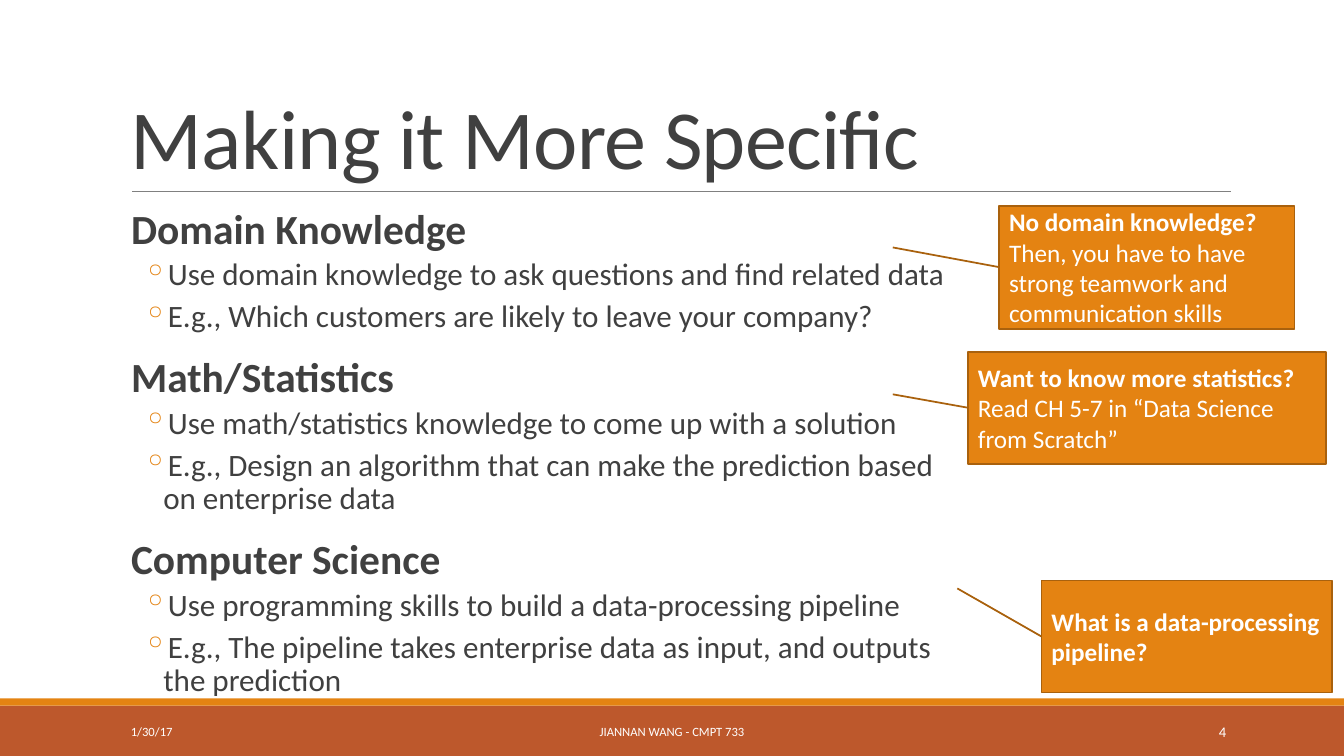
from lxml import etree
from pptx import Presentation
from pptx.dml.color import RGBColor
from pptx.enum.shapes import MSO_CONNECTOR, MSO_SHAPE
from pptx.enum.text import MSO_ANCHOR, PP_ALIGN
from pptx.oxml.ns import qn
from pptx.util import Inches, Pt

RECTANGLE = MSO_SHAPE.RECTANGLE
CALLOUT = MSO_SHAPE.LINE_CALLOUT_1
STRAIGHT = MSO_CONNECTOR.STRAIGHT
LEFT, CENTER, RIGHT = PP_ALIGN.LEFT, PP_ALIGN.CENTER, PP_ALIGN.RIGHT
TOP, MIDDLE, BOTTOM = MSO_ANCHOR.TOP, MSO_ANCHOR.MIDDLE, MSO_ANCHOR.BOTTOM

FONT = "Calibri"
COLORS = {
    "text": "404040",
    "white": "FFFFFF",
    "orange": "E48312",
    "rust": "BD582C",
    "callout line": "A9610D",
    "rule": "808080",
}

SECTIONS = [
    ("Domain Knowledge", [
        "Use domain knowledge to ask questions and find related data",
        "E.g., Which customers are likely to leave your company?",
    ]),
    ("Math/Statistics", [
        "Use math/statistics knowledge to come up with a solution",
        "E.g., Design an algorithm that can make the prediction based on enterprise data",
    ]),
    ("Computer Science", [
        "Use programming skills to build a data-processing pipeline",
        "E.g., The pipeline takes enterprise data as input, and outputs the prediction",
    ]),
]

# Bounds, pointer tip as (y, x) fractions of the box, question, answer
CALLOUTS = [
    ((9.91, 2.04, 2.93, 1.22), (0.34, -0.36), "No domain knowledge?",
     "Then, you have to have strong teamwork and communication skills"),
    ((9.6, 3.49, 3.55, 1.11), (0.38, -0.21), "Want to know more statistics?",
     "Read CH 5-7 in “Data Science from Scratch”"),
    ((10.33, 5.76, 2.88, 1.11), (0.07, -0.29), "What is a data-processing pipeline?", None),
]

FOOTERS = [
    ((1.2, 7.06, 2.7, 0.4), "1/30/17", 9, LEFT),
    ((4.03, 7.06, 5.27, 0.4), "JIANNAN WANG - CMPT 733", 9, CENTER),
    ((10.83, 7.06, 1.43, 0.4), "4", 10.5, RIGHT),
]


def rgb(name):
    return RGBColor.from_string(COLORS[name])


def inches(bounds):
    return [Inches(value) for value in bounds]


def add_box(page, bounds, anchor):
    box = page.shapes.add_textbox(*inches(bounds))
    box.text_frame.word_wrap = True
    box.text_frame.vertical_anchor = anchor
    return box


def write(para, text, size, color, bold=False, align=LEFT):
    para.text = text
    para.alignment = align
    para.font.name = FONT
    para.font.size = Pt(size)
    para.font.bold = bold
    para.font.color.rgb = rgb(color)


def next_para(frame, index):
    return frame.add_paragraph() if index else frame.paragraphs[0]


def space(para, before, after):
    para.line_spacing = 0.9
    para.space_before = Pt(before)
    para.space_after = Pt(after)


def indent(para, left, first):
    properties = para._p.get_or_add_pPr()
    properties.set("marL", str(Inches(left)))
    properties.set("indent", str(Inches(first)))
    return properties


def add_bullet(para):
    properties = indent(para, 0.42, -0.2)
    color = etree.Element(qn("a:buClr"))
    etree.SubElement(color, qn("a:srgbClr")).set("val", COLORS["orange"])
    mark = etree.Element(qn("a:buChar"))
    mark.set("char", "◦")
    # Bullet settings come before the default run properties
    defaults = properties.find(qn("a:defRPr"))
    defaults.addprevious(color)
    defaults.addprevious(mark)


def add_band(page, bounds, color):
    band = page.shapes.add_shape(RECTANGLE, *inches(bounds))
    band.shadow.inherit = False
    band.fill.solid()
    band.fill.fore_color.rgb = rgb(color)
    band.line.fill.background()


def add_rule(page, left, right, y):
    rule = page.shapes.add_connector(STRAIGHT, *inches((left, y, right, y)))
    rule.line.color.rgb = rgb("rule")
    rule.line.width = Pt(0.5)
    etree.SubElement(rule._element.spPr, qn("a:effectLst"))


def add_title(page, text):
    frame = add_box(page, (1.2, 0.31, 11, 1.59), BOTTOM).text_frame
    para = frame.paragraphs[0]
    write(para, text, 60, "text")
    para.line_spacing = 0.85
    para.runs[0]._r.get_or_add_rPr().set("spc", "-50")


def add_outline(page, sections):
    frame = add_box(page, (1.2, 2.02, 8.27, 5.17), TOP).text_frame
    frame.margin_left = frame.margin_right = 0
    for index, (heading, points) in enumerate(sections):
        para = next_para(frame, index)
        write(para, heading, 29.6, "text", bold=True)
        space(para, 12, 2)
        indent(para, 0.1, 0)
        for point in points:
            para = frame.add_paragraph()
            para.level = 1
            write(para, point, 22.2, "text")
            space(para, 2, 4)
            add_bullet(para)


def add_callout(page, bounds, tip, question, answer):
    callout = page.shapes.add_shape(CALLOUT, *inches(bounds))
    callout.shadow.inherit = False
    for index, value in enumerate((0.5, 0, *tip)):
        callout.adjustments[index] = value
    callout.fill.solid()
    callout.fill.fore_color.rgb = rgb("orange")
    callout.line.color.rgb = rgb("callout line")
    callout.line.width = Pt(1.25)
    frame = callout.text_frame
    frame.word_wrap = True
    frame.vertical_anchor = MIDDLE
    write(frame.paragraphs[0], question, 18, "white", bold=True)
    if answer:
        write(frame.add_paragraph(), answer, 18, "white")


def main():
    deck = Presentation()
    deck.slide_width, deck.slide_height = Inches(13.33), Inches(7.5)
    page = deck.slides.add_slide(deck.slide_layouts[6])
    add_band(page, (0, 7, 13.33, 0.5), "rust")
    add_band(page, (0, 6.93, 13.33, 0.07), "orange")
    add_rule(page, 1.31, 12.21, 1.9)
    add_title(page, "Making it More Specific")
    add_outline(page, SECTIONS)
    for callout in CALLOUTS:
        add_callout(page, *callout)
    for bounds, text, size, align in FOOTERS:
        frame = add_box(page, bounds, MIDDLE).text_frame
        write(frame.paragraphs[0], text, size, "white", align=align)
    deck.save("out.pptx")


if __name__ == "__main__":
    main()
